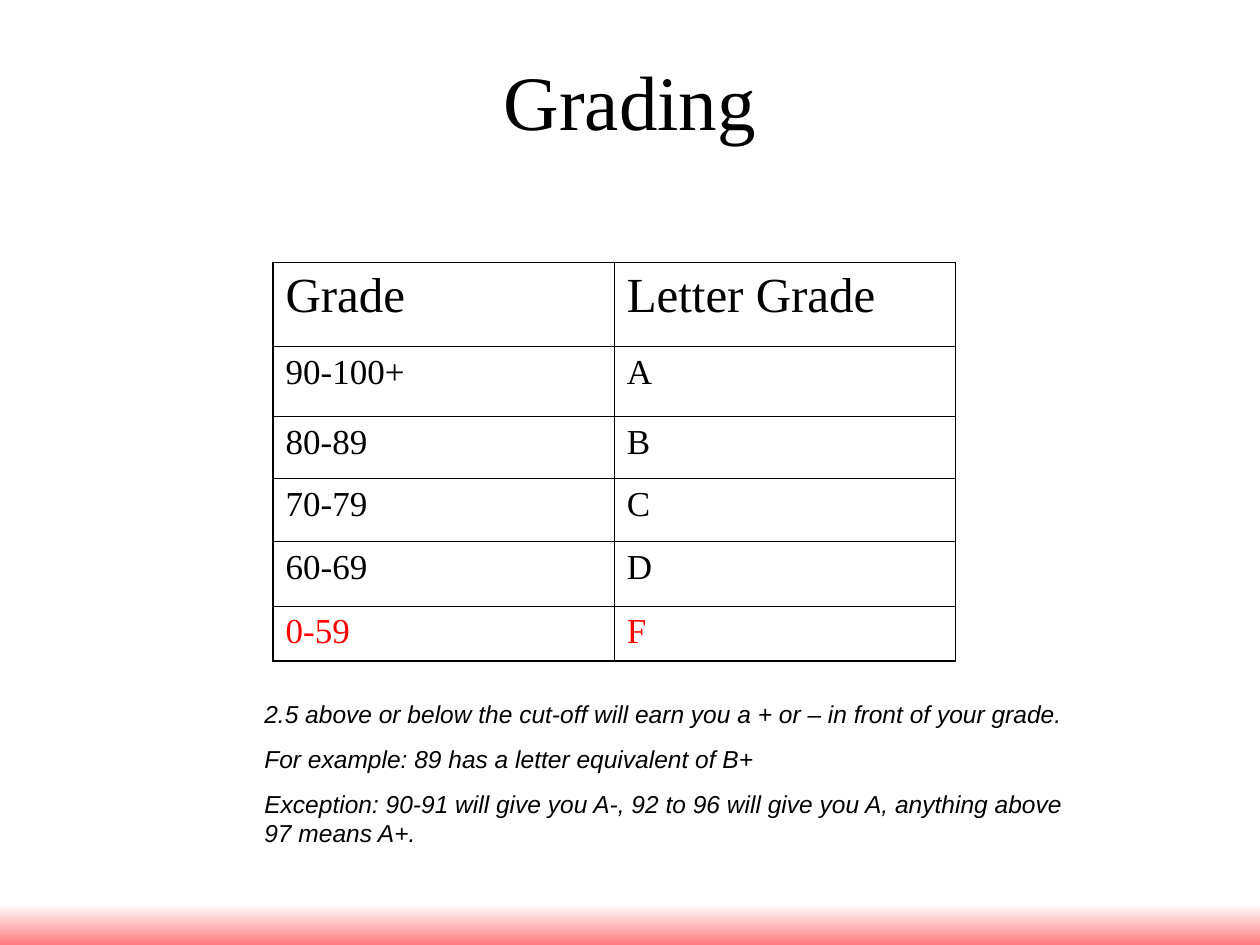
from lxml import etree
from pptx import Presentation
from pptx.dml.color import RGBColor
from pptx.enum.shapes import MSO_SHAPE
from pptx.enum.text import PP_ALIGN
from pptx.oxml.ns import qn
from pptx.util import Pt

RECTANGLE = MSO_SHAPE.RECTANGLE
CENTER = PP_ALIGN.CENTER
COLORS = {"white": "FFFFFF", "black": "000000", "red": "FF0000", "coral": "FF7C80"}
OUTER_BORDER, INNER_BORDER = 1.08, 0.45


def style(paragraph, font_name, size, color="black"):
    paragraph.font.name = font_name
    paragraph.font.size = Pt(size)
    paragraph.font.color.rgb = RGBColor.from_string(COLORS[color])


def add_border(cell, side, width):
    line = etree.SubElement(cell._tc.get_or_add_tcPr(), qn(f"a:ln{side}"), w=str(Pt(width)))
    fill = etree.SubElement(line, qn("a:solidFill"))
    etree.SubElement(fill, qn("a:srgbClr"), val=COLORS["black"])


presentation = Presentation()
presentation.slide_width, presentation.slide_height = Pt(720), Pt(540)
slide = presentation.slides.add_slide(presentation.slide_layouts[6])

# Gradient band along the bottom
band = slide.shapes.add_shape(RECTANGLE, Pt(0), Pt(516.25), Pt(720), Pt(23.75))
band.shadow.inherit = False
band.line.fill.background()
band.fill.gradient()
band.fill.gradient_angle = 270
for stop, position, color in zip(band.fill.gradient_stops, (0, 1), ("white", "coral")):
    stop.position = position
    stop.color.rgb = RGBColor.from_string(COLORS[color])

# Title
title = slide.shapes.add_textbox(Pt(36), Pt(21.6), Pt(648), Pt(90))
title.text_frame.word_wrap = True
title.text_frame.margin_top = Pt(9)
paragraph = title.text_frame.paragraphs[0]
paragraph.text = "Grading"
paragraph.alignment = CENTER
style(paragraph, "Times New Roman", 44)

# Grade table
grades = [
    ("Grade", "Letter Grade"),
    ("90-100+", "A"),
    ("80-89", "B"),
    ("70-79", "C"),
    ("60-69", "D"),
    ("0-59", "F"),
]
row_heights = [48, 40, 35.5, 36, 37, 31]
last_row, last_column = len(grades) - 1, 1
table = slide.shapes.add_table(
    len(grades), 2, Pt(156), Pt(150), Pt(390), Pt(sum(row_heights))
).table
table.first_row = table.horz_banding = False
for column in table.columns:
    column.width = Pt(195)
for row_index, (texts, height) in enumerate(zip(grades, row_heights)):
    table.rows[row_index].height = Pt(height)
    is_header = row_index == 0
    for column_index, text in enumerate(texts):
        cell = table.cell(row_index, column_index)
        outer_sides = {
            "L": column_index == 0,
            "R": column_index == last_column,
            "T": is_header,
            "B": row_index == last_row,
        }
        for side, is_outer in outer_sides.items():
            add_border(cell, side, OUTER_BORDER if is_outer else INNER_BORDER)
        cell.fill.background()
        paragraph = cell.text_frame.paragraphs[0]
        paragraph.text = text
        paragraph.space_before = Pt(7 if is_header else 5)
        style(paragraph, "Times New Roman", 28 if is_header else 20,
              "red" if row_index == last_row else "black")

# Notes on plus and minus grades
notes = [
    "2.5 above or below the cut-off will earn you a + or – in front of your grade.",
    "For example: 89 has a letter equivalent of B+",
    "Exception: 90-91 will give you A-, 92 to 96 will give you A, anything above 97 means A+.",
]
notes_box = slide.shapes.add_textbox(Pt(144), Pt(396), Pt(474), Pt(92))
notes_frame = notes_box.text_frame
notes_frame.word_wrap = True
for index, note in enumerate(notes):
    paragraph = notes_frame.add_paragraph() if index else notes_frame.paragraphs[0]
    paragraph.text = note
    paragraph.space_before = Pt(8.8)
    style(paragraph, "Arial", 14)
    paragraph.font.italic = True

presentation.save("out.pptx")
